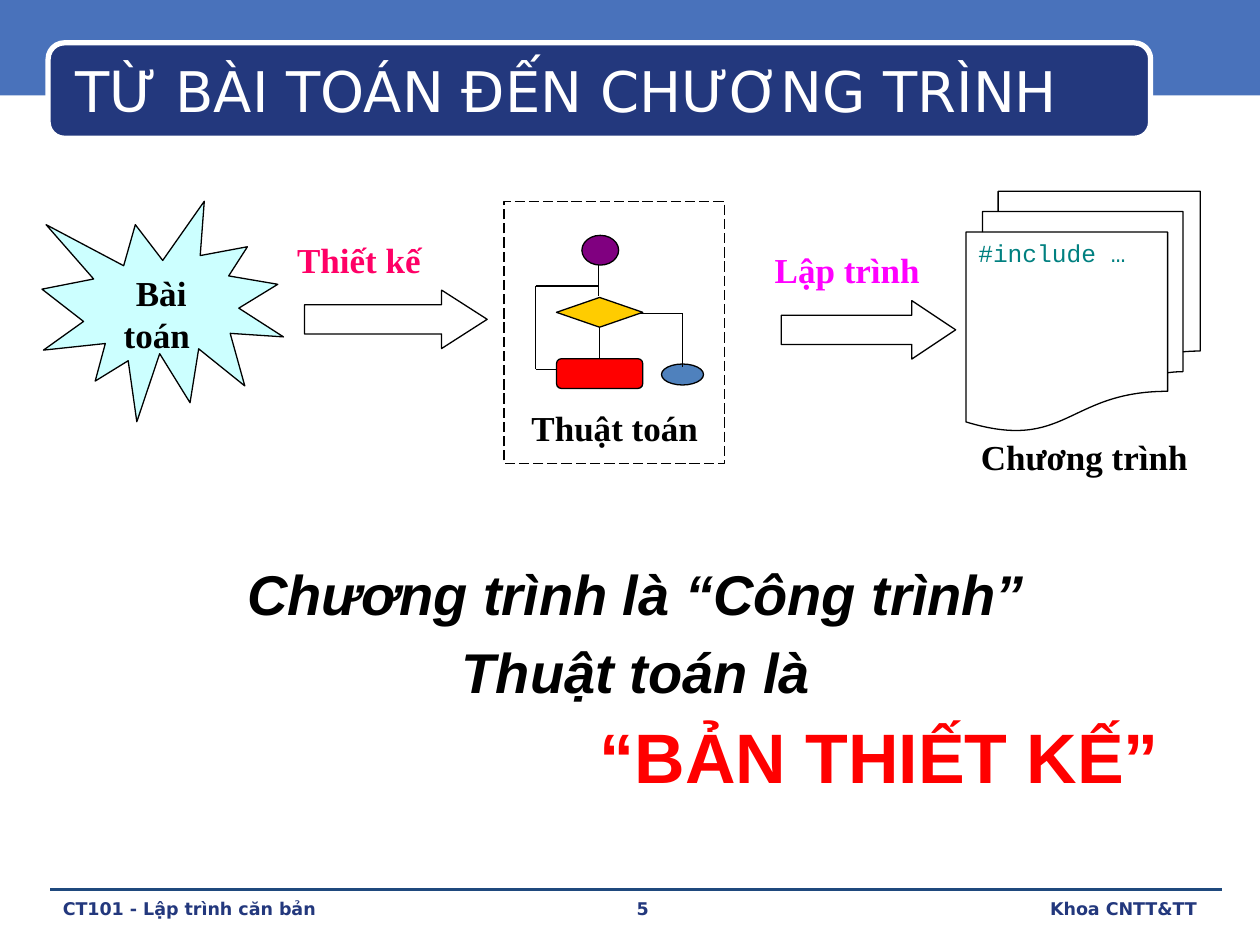
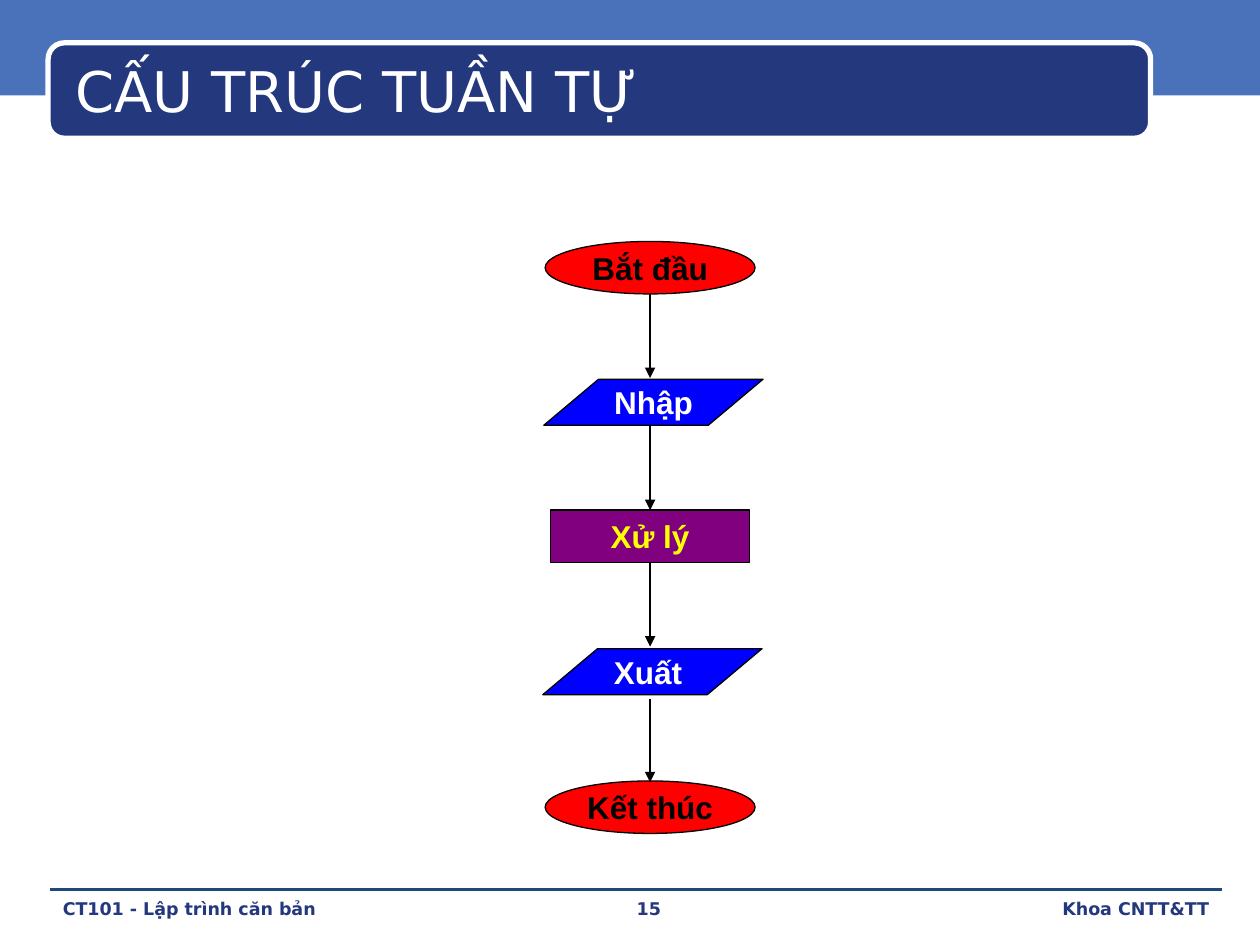
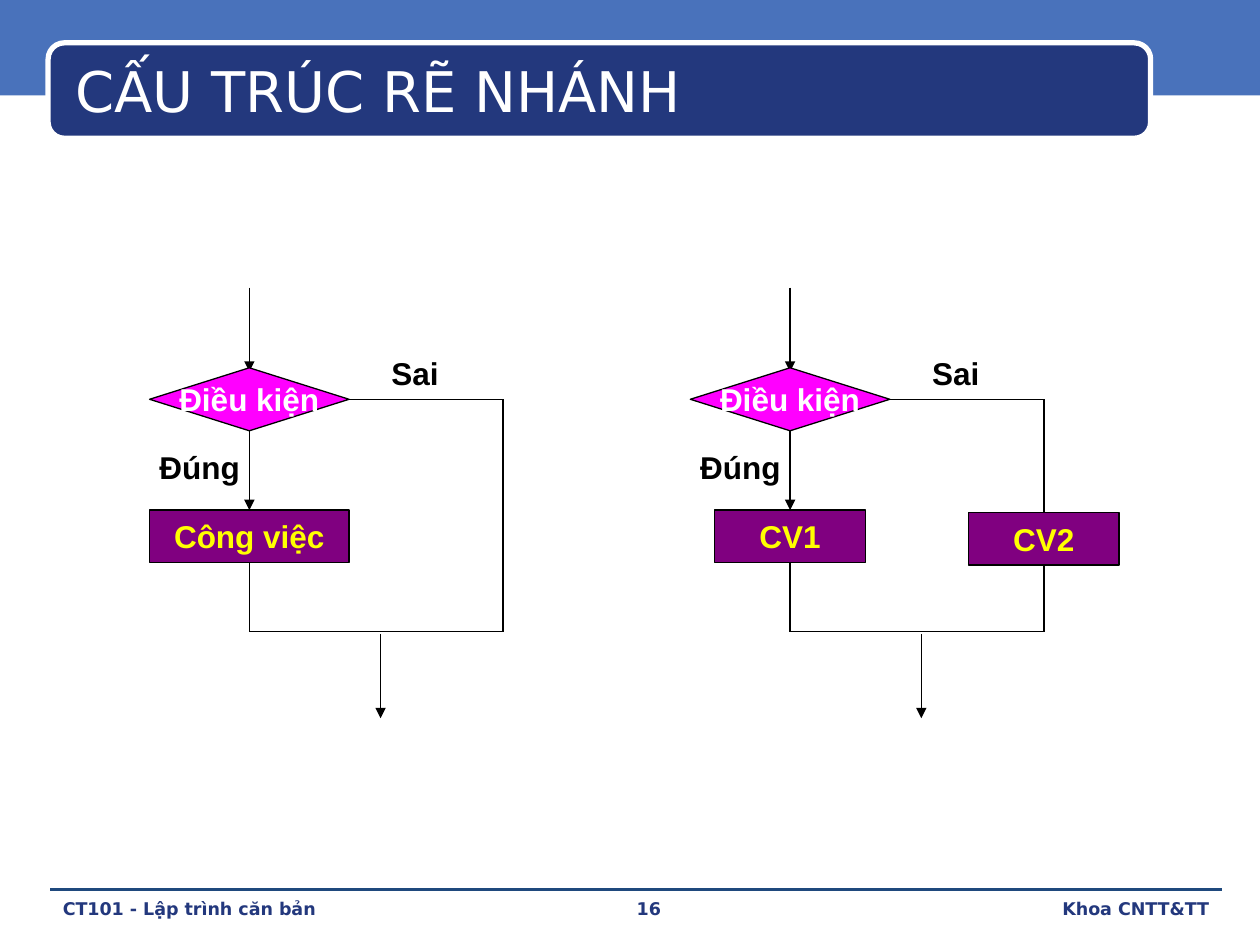
from dataclasses import dataclass
from typing import NamedTuple, Optional

from lxml import etree
from pptx import Presentation
from pptx.dml.color import RGBColor
from pptx.enum.dml import MSO_LINE
from pptx.enum.shapes import MSO_CONNECTOR, MSO_SHAPE
from pptx.enum.text import MSO_ANCHOR, PP_ALIGN
from pptx.oxml.ns import qn
from pptx.util import Pt

STRAIGHT = MSO_CONNECTOR.STRAIGHT
RECTANGLE = MSO_SHAPE.RECTANGLE
ROUNDED = MSO_SHAPE.ROUNDED_RECTANGLE
OVAL = MSO_SHAPE.OVAL
PARALLELOGRAM = MSO_SHAPE.PARALLELOGRAM
DIAMOND = MSO_SHAPE.DIAMOND
RIGHT_ARROW = MSO_SHAPE.RIGHT_ARROW
BURST = MSO_SHAPE.EXPLOSION1
DOCUMENTS = MSO_SHAPE.FLOWCHART_MULTIDOCUMENT
DECISION = MSO_SHAPE.FLOWCHART_DECISION
PROCESS = MSO_SHAPE.FLOWCHART_ALTERNATE_PROCESS
LONG_DASH = MSO_LINE.LONG_DASH
LEFT, CENTER, RIGHT = PP_ALIGN.LEFT, PP_ALIGN.CENTER, PP_ALIGN.RIGHT
TOP, MIDDLE = MSO_ANCHOR.TOP, MSO_ANCHOR.MIDDLE
SITE_TOP, SITE_BOTTOM, SITE_RIGHT = 0, 2, 3

COLORS = {
    "band": "4972BB",
    "navy": "23387D",
    "rule": "1F497D",
    "white": "FFFFFF",
    "black": "000000",
    "ice": "CCFFFF",
    "rose": "FF0066",
    "magenta": "FF00FF",
    "teal": "008080",
    "gold": "FFCC00",
    "purple": "800080",
    "red": "FF0000",
    "steel": "4F81BD",
    "blue": "0000FF",
    "yellow": "FFFF00",
}


@dataclass(frozen=True)
class Style:
    font: str
    size: float
    color: str = "black"
    bold: bool = True
    italic: bool = False
    align: PP_ALIGN = CENTER
    spacing: float = 1.0


class Box(NamedTuple):
    left: float
    top: float
    width: float
    height: float


class Node(NamedTuple):
    kind: MSO_SHAPE
    box: Box
    fill: Optional[str]
    text: str = ""
    style: Optional[Style] = None
    adjustments: tuple = ()
    anchor: MSO_ANCHOR = MIDDLE
    wrap: bool = False


class Label(NamedTuple):
    box: Box
    text: str
    style: Style


class Branch(NamedTuple):
    axis: float
    width: float
    yes_task: str
    no_task: str = ""


TITLE = Style("DejaVu Sans", 32, "white", bold=False, align=LEFT, spacing=0.9)
FOOTER = Style("DejaVu Sans", 10, "navy", align=LEFT)
CAPTION = Style("Times New Roman", 20)
DESIGN = Style("Times New Roman", 20, "rose", align=LEFT)
CODING = Style("Times New Roman", 20, "magenta", align=LEFT)
CODE = Style("Courier New", 14, "teal", bold=False, align=LEFT)
SLOGAN = Style("Arial", 32, italic=True, spacing=0.9)
SHOUT = Style("Arial", 40, "red", align=RIGHT, spacing=0.9)
FLOW = Style("Arial", 18)
FLOW_WHITE = Style("Arial", 18, "white")
FLOW_YELLOW = Style("Arial", 18, "yellow")


def rgb(name: str) -> RGBColor:
    return RGBColor.from_string(COLORS[name])


def write(paragraph, text: str, style: Style) -> None:
    paragraph.alignment = style.align
    if style.spacing != 1:
        paragraph.line_spacing = style.spacing
    run = paragraph.add_run()
    run.text = text
    run.font.name = style.font
    run.font.size = Pt(style.size)
    run.font.bold = style.bold
    run.font.italic = style.italic
    run.font.color.rgb = rgb(style.color)


def add_text(slide, box: Box, lines, anchor=TOP, insets=(7.2, 3.6)):
    frame = slide.shapes.add_textbox(*map(Pt, box)).text_frame
    frame.word_wrap = True
    frame.vertical_anchor = anchor
    frame.margin_left = frame.margin_right = Pt(insets[0])
    frame.margin_top = frame.margin_bottom = Pt(insets[1])
    for index, (text, style) in enumerate(lines):
        paragraph = frame.add_paragraph() if index else frame.paragraphs[0]
        if index:
            paragraph.space_before = Pt(10)
        write(paragraph, text, style)
    return frame


def add_node(slide, node: Node, line: Optional[str] = "black", weight: float = 0.75):
    shape = slide.shapes.add_shape(node.kind, *map(Pt, node.box))
    shape.shadow.inherit = False
    for index, value in enumerate(node.adjustments):
        shape.adjustments[index] = value
    if node.fill:
        shape.fill.solid()
        shape.fill.fore_color.rgb = rgb(node.fill)
    else:
        shape.fill.background()
    if line:
        shape.line.color.rgb = rgb(line)
        shape.line.width = Pt(weight)
    else:
        shape.line.fill.background()
    if node.text:
        shape.text_frame.word_wrap = node.wrap
        shape.text_frame.vertical_anchor = node.anchor
        write(shape.text_frame.paragraphs[0], node.text, node.style)
    return shape


def add_line(slide, start=(0, 0), end=(0, 0), arrow=False, color="black",
             weight=0.75, begin=None, finish=None):
    connector = slide.shapes.add_connector(STRAIGHT, *map(Pt, (*start, *end)))
    if begin:
        connector.begin_connect(*begin)
    if finish:
        connector.end_connect(*finish)
    connector.line.color.rgb = rgb(color)
    connector.line.width = Pt(weight)
    properties = connector._element.spPr
    if arrow:
        etree.SubElement(properties.find(qn("a:ln")), qn("a:tailEnd"), type="triangle")
    etree.SubElement(properties, qn("a:effectLst"))
    return connector


def add_footer(slide, number: int) -> None:
    add_line(slide, (28.8, 508.3), (698.4, 508.3), color="rule", weight=0)
    digits = str(number)
    text = f"CT101 - Lập trình căn bản\t{digits}\tKhoa CNTT&TT"
    frame = add_text(slide, Box(28.8, 509.8, 669.6, 20.2), [(text, FOOTER)])
    properties = frame.paragraphs[0]._p.get_or_add_pPr()
    tabs = etree.SubElement(properties, qn("a:tabLst"))
    for position, align in ((328, "l"), (641 + 7 * len(digits), "r")):
        etree.SubElement(tabs, qn("a:tab"), pos=str(Pt(position)), algn=align)


def start_slide(presentation, title: str, number: int):
    slide = presentation.slides.add_slide(presentation.slide_layouts[6])
    add_node(slide, Node(RECTANGLE, Box(0, 0, 720, 54.5), "band"), line=None)
    plate = Node(ROUNDED, Box(27.5, 24.5, 630, 54.5), "navy", adjustments=(0.17,))
    add_node(slide, plate, line="white", weight=3)
    add_footer(slide, number)
    add_text(slide, Box(36, 28.8, 626.4, 50.4), [(title, TITLE)], MIDDLE)
    return slide


def add_flowchart_icon(slide) -> None:
    decision = add_node(slide, Node(DECISION, Box(318, 170, 49.3, 17), "gold"))
    add_node(slide, Node(OVAL, Box(332.5, 134.5, 21, 17), "purple"))
    process = add_node(slide, Node(PROCESS, Box(318, 205, 49.3, 17), "red"))
    frame = add_node(slide, Node(RECTANGLE, Box(288, 115.2, 126, 149.8), None))
    frame.line.dash_style = LONG_DASH
    add_node(slide, Node(OVAL, Box(378, 208, 24, 12), "steel"))
    add_line(slide, begin=(decision, SITE_BOTTOM), finish=(process, SITE_TOP))
    for start, end in (
        ((342, 151.5), (342, 169.2)),
        ((365, 179.3), (390.2, 179.3)),
        ((390.2, 179.3), (390.2, 209.5)),
        ((306, 163.4), (342, 163.4)),
        ((306, 163.4), (306, 211)),
        ((306, 211), (318, 211)),
    ):
        add_line(slide, start, end)


def build_problem_to_program(presentation) -> None:
    slide = start_slide(presentation, "TỪ BÀI TOÁN ĐẾN CHƯƠNG TRÌNH", 5)
    for node in (
        Node(BURST, Box(24, 115, 138, 126), "ice", "Bài toán ", CAPTION,
             anchor=TOP, wrap=True),
        Node(RIGHT_ARROW, Box(174, 165.8, 104.4, 33.4), "white", adjustments=(0.5, 0.78)),
        Node(RIGHT_ARROW, Box(446.4, 171.8, 99.7, 33.4), "white", adjustments=(0.5, 0.75)),
        Node(DOCUMENTS, Box(552, 109.3, 133.9, 137), "white", "#include …", CODE,
             anchor=TOP, wrap=True),
    ):
        add_node(slide, node)
    add_flowchart_icon(slide)
    for label in (
        Label(Box(162.7, 132.5, 113, 33.8), "Thiết kế", DESIGN),
        Label(Box(435.6, 138.5, 108, 33.8), "Lập trình", CODING),
        Label(Box(545.8, 245.5, 147.6, 37.4), "Chương trình", CAPTION),
        Label(Box(282.2, 229, 138.2, 30.2), "Thuật toán", CAPTION),
    ):
        add_text(slide, label.box, [(label.text, label.style)])
    add_text(slide, Box(57.6, 320.4, 612, 162), [
        ("Chương trình là “Công trình”", SLOGAN),
        ("Thuật toán là", SLOGAN),
        ("“BẢN THIẾT KẾ”", SHOUT),
    ])


def build_sequence(presentation) -> None:
    slide = start_slide(presentation, "CẤU TRÚC TUẦN TỰ", 15)
    axis = 371.5
    slant = (1.19,)
    for node in (
        Node(OVAL, Box(axis - 60, 138, 120, 30), "red", "Bắt đầu", FLOW),
        Node(PARALLELOGRAM, Box(310.8, 216.7, 125.3, 26.3), "blue", "Nhập", FLOW_WHITE, slant),
        Node(PARALLELOGRAM, Box(310.2, 370.7, 125.3, 26.3), "blue", "Xuất ", FLOW_WHITE, slant),
        Node(OVAL, Box(axis - 60, 446.3, 120, 30), "red", "Kết thúc", FLOW),
    ):
        add_node(slide, node)
    work = add_node(slide, Node(RECTANGLE, Box(axis - 57, 291.5, 114, 30), "purple",
                                "Xử lý", FLOW_YELLOW))
    add_line(slide, (axis, 168), (axis, 216), arrow=True)
    add_line(slide, (axis, 243.3), arrow=True, finish=(work, SITE_TOP))
    add_line(slide, end=(axis, 369.5), arrow=True, begin=(work, SITE_BOTTOM))
    add_line(slide, (axis, 399.3), (axis, 447), arrow=True)


def add_branch(slide, branch: Branch) -> None:
    axis, side = branch.axis, branch.axis + 145
    exit_axis = axis + 75
    corner, merge = (side, 228.2), 361
    add_line(slide, (axis, 164.3), (axis, 212.4), arrow=True)
    condition = add_node(slide, Node(DIAMOND, Box(axis - 57, 210.2, 114, 36), "magenta",
                                     "Điều kiện", FLOW_WHITE))

    def add_task(center: float, top: float, text: str):
        box = Box(center - branch.width / 2, top, branch.width, 30)
        return add_node(slide, Node(RECTANGLE, box, "purple", text, FLOW_YELLOW))

    yes_task = add_task(axis, 291.5, branch.yes_task)
    add_line(slide, arrow=True, begin=(condition, SITE_BOTTOM), finish=(yes_task, SITE_TOP))
    add_line(slide, end=(axis, merge), begin=(yes_task, SITE_BOTTOM))
    add_line(slide, end=corner, begin=(condition, SITE_RIGHT))
    if branch.no_task:
        no_task = add_task(side, 293, branch.no_task)
        add_line(slide, corner, finish=(no_task, SITE_TOP))
        add_line(slide, end=(side, merge), begin=(no_task, SITE_BOTTOM))
    else:
        add_line(slide, corner, (side, merge))
    add_line(slide, (axis, merge), (side, merge))
    add_line(slide, (exit_axis, 362.2), (exit_axis, 410.4), arrow=True)
    for label in (
        Label(Box(axis + 67.7, 201.6, 54, 23), "Sai", FLOW),
        Label(Box(axis - 61.5, 255.2, 66.2, 23), "Đúng", FLOW),
    ):
        add_text(slide, label.box, [(label.text, label.style)], insets=(4.3, 0.7))


def build_branching(presentation) -> None:
    slide = start_slide(presentation, "CẤU TRÚC RẼ NHÁNH", 16)
    for branch in (
        Branch(142.5, 114, "Công việc"),
        Branch(451.5, 86, "CV1", "CV2"),
    ):
        add_branch(slide, branch)


def main() -> None:
    presentation = Presentation()
    presentation.slide_width = Pt(720)
    presentation.slide_height = Pt(540)
    build_problem_to_program(presentation)
    build_sequence(presentation)
    build_branching(presentation)
    presentation.save("out.pptx")


if __name__ == "__main__":
    main()
